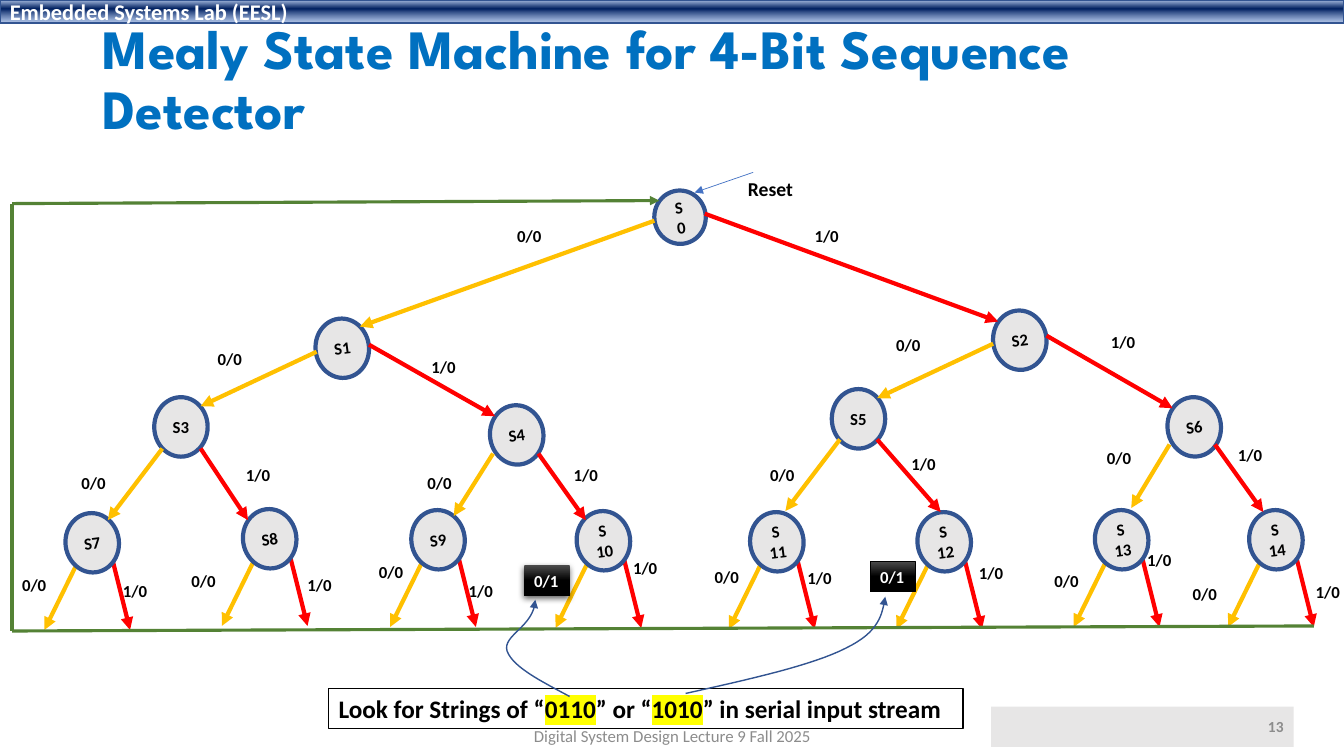
from lxml import etree
from pptx import Presentation, util as u
from pptx.dml.color import RGBColor
from pptx.enum import shapes, text
from pptx.oxml.ns import qn

BLACK = RGBColor(0x00, 0x00, 0x00)
WHITE = RGBColor(0xFF, 0xFF, 0xFF)
TITLE_BLUE = RGBColor(0x00, 0x70, 0xC0)
NAVY = RGBColor(0x32, 0x54, 0x91)
RESET_BLUE = RGBColor(0x44, 0x72, 0xC4)
GRAY = RGBColor(0xE7, 0xE6, 0xE6)
FOOTER_GRAY = RGBColor(0x8C, 0x8C, 0x8C)
GOLD = RGBColor(0xFF, 0xC0, 0x00)
RED = RGBColor(0xFF, 0x00, 0x00)
GREEN = RGBColor(0x54, 0x82, 0x35)
YELLOW = RGBColor(0xFF, 0xFF, 0x00)
BAR_STOPS = [(2, "ABC0E4", 100), (38, "002060", 100), (93, "7E9ED6", 64)]
BLACK_STOPS = [(0, "4B4B4B", 100), (50, "000000", 100), (100, "000000", 100)]
RECT = shapes.MSO_SHAPE.RECTANGLE
OVAL = shapes.MSO_SHAPE.OVAL
LEFT, CENTER, RIGHT = text.PP_ALIGN.LEFT, text.PP_ALIGN.CENTER, text.PP_ALIGN.RIGHT

# Position of each state; rows of the tree share one size
INNER = {"S3": (1.53, 3.94), "S4": (4.86, 4.02), "S1": (3.13, 3.16),
         "S5": (8.25, 3.86), "S6": (11.58, 3.94), "S2": (9.85, 3.08)}
UPRIGHT = ("S3", "S5")
LEAVES = {"S7": (0.65, 5.09), "S8": (2.41, 5.05), "S9": (4.08, 5.06),
          "S\n10": (5.72, 5.07), "S\n11": (7.44, 5.08), "S\n12": (9.1, 5.08),
          "S\n13": (10.86, 5.06), "S\n14": (12.39, 5.06)}

# Transitions between states, by input bit: x1, y1, x2, y2
ZERO_EDGES = [(6.49, 2.19, 3.57, 3.24), (3.14, 3.49, 1.99, 4.03), (9.85, 3.41, 8.7, 3.95),
              (1.61, 4.45, 1.07, 5.16), (4.89, 4.5, 4.5, 5.12),
              (8.33, 4.36, 7.79, 5.07), (11.6, 4.41, 11.22, 5.04)]
ONE_EDGES = [(6.99, 2.12, 9.9, 3.19), (3.66, 3.42, 4.91, 4.13), (10.38, 3.33, 11.63, 4.05),
             (1.99, 4.45, 2.46, 5.16), (5.34, 4.5, 5.81, 5.16),
             (8.7, 4.36, 9.33, 5.08), (12.05, 4.41, 12.53, 5.08)]

LABELS = {
    "0/0": [(5.03, 2.19), (2.06, 3.41), (8.79, 3.27), (0.71, 4.64), (4.14, 4.64), (7.54, 4.56),
            (10.88, 4.39), (0.12, 5.65), (1.8, 5.61), (3.66, 5.52), (6.99, 5.57),
            (10.36, 5.61), (11.73, 5.74)],
    "1/0": [(7.98, 2.19), (4.18, 3.49), (10.92, 3.24), (2.34, 4.56), (5.59, 4.56), (8.94, 4.45),
            (12.18, 4.36), (1.12, 5.71), (2.95, 5.65), (4.55, 5.71), (6.18, 5.48),
            (7.91, 5.58), (9.61, 5.53), (11.28, 5.4), (12.95, 5.72)],
}

# Callout curves: start point, then control, control, end for each segment
CURVES = [
    [(5.65, 6.91), (5.37, 6.76), (5.09, 6.62), (5.03, 6.46), (4.98, 6.3), (5.3, 6.22), (5.31, 5.95)],
    [(6.8, 6.88), (7.43, 6.74), (8.06, 6.6), (8.39, 6.43), (8.72, 6.27), (8.75, 6.1), (8.78, 5.92)],
]


def bezier(pts, steps=16):
    """Points along a chain of cubic segments."""
    out = [pts[0]]
    for i in range(0, len(pts) - 1, 3):
        for k in range(1, steps + 1):
            t = k / steps
            w = ((1 - t) ** 3, 3 * t * (1 - t) ** 2, 3 * t * t * (1 - t), t ** 3)
            out.append(tuple(sum(a * p[d] for a, p in zip(w, pts[i:i + 4])) for d in (0, 1)))
    return out


class Deck:
    font = "Calibri"

    def __init__(self):
        self.prs = Presentation()
        self.prs.slide_width, self.prs.slide_height = u.Inches(13.33), u.Inches(7.5)
        self.s = self.prs.slides.add_slide(self.prs.slide_layouts[6])

    def add_text(self, sp, paras, size, color=BLACK, bold=True, align=LEFT, font=None,
                 wrap=True, middle=True, spacing=None):
        """Each paragraph is a list of (wording, highlight) runs."""
        tf = sp.text_frame
        tf.word_wrap = wrap
        tf.vertical_anchor = text.MSO_ANCHOR.MIDDLE if middle else text.MSO_ANCHOR.TOP
        for i, runs in enumerate(paras):
            p = tf.add_paragraph() if i else tf.paragraphs[0]
            p.alignment = align
            if spacing:
                p.line_spacing = spacing
            for words, mark in runs:
                r = p.add_run()
                r.text = words
                r.font.size, r.font.bold = u.Pt(size), bold
                r.font.color.rgb = color
                r.font.name = font or self.font
                if mark:
                    hl = etree.Element(qn("a:highlight"))
                    etree.SubElement(hl, qn("a:srgbClr"), val=str(mark))
                    r.font._element.find(qn("a:latin")).addprevious(hl)

    def shape(self, kind, x, y, w, h, fill, line=None, weight=1, rot=0):
        sp = self.s.shapes.add_shape(kind, *map(u.Inches, (x, y, w, h)))
        sp.rotation = rot
        sp.shadow.inherit = False
        if isinstance(fill, list):
            self.gradient(sp, fill)
        else:
            sp.fill.solid()
            sp.fill.fore_color.rgb = fill
        if line is None:
            sp.line.fill.background()
        else:
            sp.line.color.rgb, sp.line.width = line, u.Pt(weight)
        return sp

    def gradient(self, sp, stops):
        sp.fill.gradient()
        sp.fill.gradient_angle = 270
        gs_list = sp._element.spPr.find(qn("a:gradFill")).find(qn("a:gsLst"))
        for gs in list(gs_list):
            gs_list.remove(gs)
        for pos, color, alpha in stops:
            gs = etree.SubElement(gs_list, qn("a:gs"), pos=str(pos * 1000))
            clr = etree.SubElement(gs, qn("a:srgbClr"), val=color)
            etree.SubElement(clr, qn("a:alpha"), val=str(alpha * 1000))

    def drop_shadow(self, sp):
        effects = sp._element.spPr.find(qn("a:effectLst"))
        sh = etree.SubElement(effects, qn("a:outerShdw"), blurRad="57150", dist="19050",
                              dir="5400000", algn="ctr", rotWithShape="0")
        clr = etree.SubElement(sh, qn("a:srgbClr"), val=str(BLACK))
        etree.SubElement(clr, qn("a:alpha"), val="63000")

    def textbox(self, x, y, w, h, words, size, **style):
        sp = self.s.shapes.add_textbox(*map(u.Inches, (x, y, w, h)))
        self.add_text(sp, [[(words, None)]], size, **style)

    def state(self, name, x, y, w=0.53, h=0.59):
        sp = self.shape(OVAL, x, y, w, h, GRAY, NAVY, 3, 0 if name in UPRIGHT else 352.7)
        self.add_text(sp, [[(part, None)] for part in name.split("\n")], 12,
                      align=CENTER, wrap=False)

    def arrowhead(self, sp):
        etree.SubElement(sp._element.spPr.find(qn("a:ln")), qn("a:tailEnd"), type="triangle")

    def line(self, x1, y1, x2, y2, color, weight=3, arrow=True):
        c = self.s.shapes.add_connector(shapes.MSO_CONNECTOR.STRAIGHT,
                                        *map(u.Inches, (x1, y1, x2, y2)))
        c.line.color.rgb, c.line.width = color, u.Pt(weight)
        if arrow:
            self.arrowhead(c)
        etree.SubElement(c._element.spPr, qn("a:effectLst"))

    def curve(self, pts):
        pts = [(u.Inches(x), u.Inches(y)) for x, y in bezier(pts)]
        fb = self.s.shapes.build_freeform(*pts[0])
        fb.add_line_segments(pts[1:], close=False)
        sp = fb.convert_to_shape()
        sp.shadow.inherit = False
        sp.fill.background()
        sp.line.color.rgb, sp.line.width = NAVY, u.Pt(1)
        self.arrowhead(sp)


def main():
    d = Deck()

    # Header bar, title and slide number
    bar = d.shape(RECT, 0, 0, 13.33, 0.23, BAR_STOPS, NAVY)
    d.add_text(bar, [[("Embedded Systems Lab (EESL)", None)]], 16, WHITE)
    d.textbox(0.92, 0.15, 11.5, 1.31, "Mealy State Machine for 4-Bit Sequence Detector", 39.6,
              color=TITLE_BLUE, font="League Spartan", spacing=0.9)
    number = d.shape(RECT, 9.83, 7.01, 3, 0.4, GRAY)
    d.add_text(number, [[("13", None)]], 11, FOOTER_GRAY, align=RIGHT)

    # States, with the two exits of each leaf
    d.state("S\n0", 6.49, 1.89, 0.51, 0.53)
    for name, (x, y) in LEAVES.items():
        d.line(x + 0.1, y + 0.53, x - 0.21, y + 1.16, GOLD)
        d.line(x + 0.47, y + 0.48, x + 0.64, y + 1.16, RED)
        d.state(name, x, y)
    for name, (x, y) in INNER.items():
        d.state(name, x, y)

    # Transitions and their labels
    for color, edges in ((GOLD, ZERO_EDGES), (RED, ONE_EDGES)):
        for edge in edges:
            d.line(*edge, color)
    for words, places in LABELS.items():
        for x, y in places:
            d.textbox(x, y, 0.45, 0.3, words, 12, wrap=False, middle=False)
    d.line(7.47, 1.71, 6.89, 1.91, RESET_BLUE, 0.5)
    d.textbox(7.32, 1.71, 0.65, 0.34, "Reset", 14, wrap=False, middle=False)

    # Detected outputs
    for x, y, outline in ((5.2, 5.61, None), (8.63, 5.57, BLACK)):
        hit = d.shape(RECT, x, y, 0.45, 0.3, BLACK_STOPS, outline, 0.5)
        if outline is None:
            d.drop_shadow(hit)
        d.add_text(hit, [[("0/1", None)]], 12, WHITE, wrap=False, middle=False)

    # Return path to S0
    d.line(13.03, 6.21, 0.12, 6.26, GREEN, 2.25, arrow=False)
    d.line(0.12, 6.26, 0.12, 2.02, GREEN, 2.25, arrow=False)
    d.line(0.12, 2.02, 6.54, 1.99, GREEN, 2.25)

    # Callout and footer
    note = d.shape(RECT, 3.26, 6.83, 6.29, 0.4, WHITE, BLACK)
    d.add_text(note, [[("Look for Strings of “", None), ("0110", YELLOW), ("” or “", None),
                       ("1010", YELLOW), ("” in serial input stream", None)]], 18, middle=False)
    for pts in CURVES:
        d.curve(pts)
    d.textbox(4.42, 7.1, 4.5, 0.4, "Digital System Design Lecture 9 Fall 2025", 12,
              color=FOOTER_GRAY, bold=False, align=CENTER)

    d.prs.save("out.pptx")


if __name__ == "__main__":
    main()
